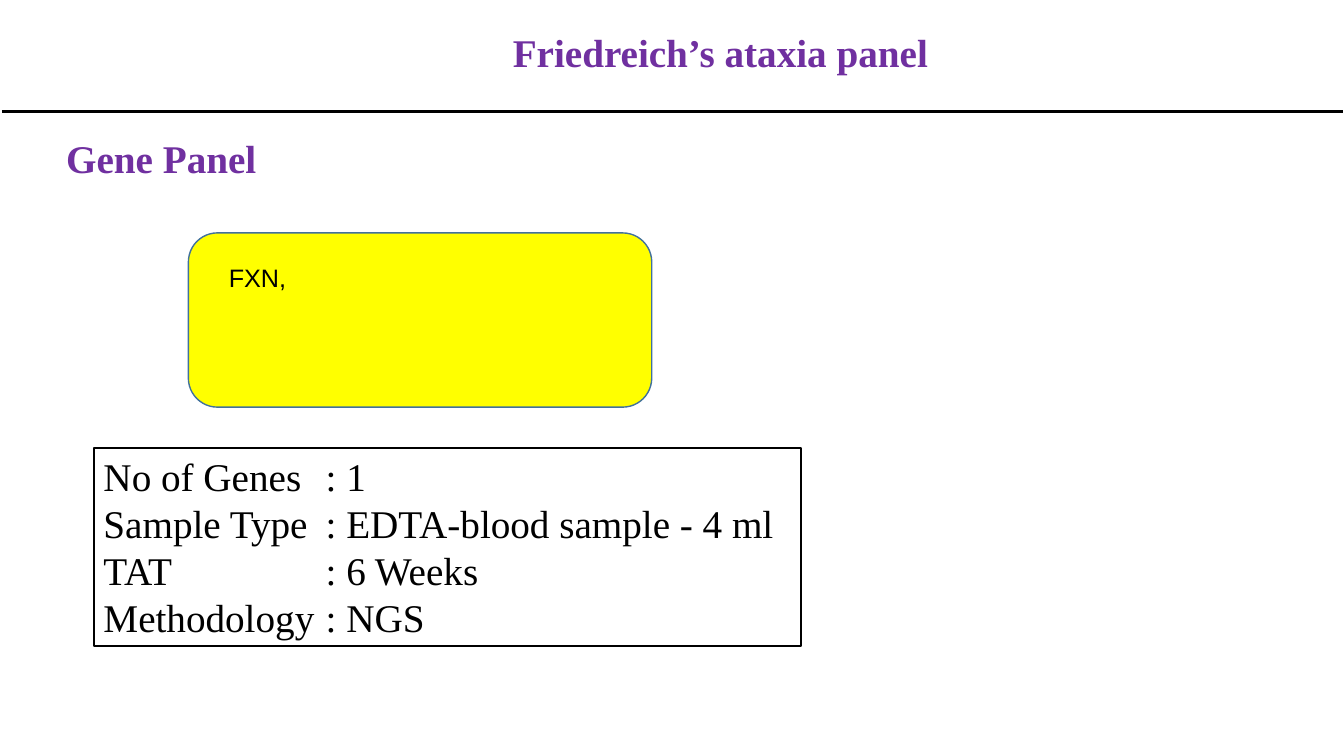
from pptx import Presentation
from pptx.dml.color import RGBColor
from pptx.enum.shapes import MSO_CONNECTOR, MSO_SHAPE
from pptx.enum.text import MSO_ANCHOR, PP_ALIGN
from pptx.oxml.ns import qn
from pptx.util import Cm, Pt
from lxml import etree

ROUND = MSO_SHAPE.ROUNDED_RECTANGLE
LINE = MSO_CONNECTOR.STRAIGHT
LEFT, CENTER = PP_ALIGN.LEFT, PP_ALIGN.CENTER
MIDDLE = MSO_ANCHOR.MIDDLE

SERIF, SANS = "Times New Roman", "Arial"
PURPLE, BLACK, YELLOW, BLUE = "7030A0", "000000", "FFFF00", "41719C"

TITLE = "Friedreich’s ataxia panel"
HEAD = "Gene Panel"
GENES = "FXN,"
FACTS = [
    ("No of Genes", "1"),
    ("Sample Type", "EDTA-blood sample - 4 ml"),
    ("TAT", "6 Weeks"),
    ("Methodology", "NGS"),
]
COLON = 5.6


def color(text):
    return RGBColor.from_string(text)


def write(shape, lines, size, face, hue, bold=False, align=LEFT):
    frame = shape.text_frame
    frame.word_wrap = True
    frame.text = "\n".join(lines)
    for para in frame.paragraphs:
        para.alignment = align
        font = para.font
        font.size, font.name, font.bold = Pt(size), face, bold
        font.color.rgb = color(hue)
    return frame


def outline(shape, hue, width):
    shape.line.color.rgb = color(hue)
    shape.line.width = Pt(width)


def textbox(slide, left, top, width, height):
    return slide.shapes.add_textbox(Cm(left), Cm(top), Cm(width), Cm(height))


def main():
    deck = Presentation()
    deck.slide_width, deck.slide_height = Cm(33.88), Cm(19.05)
    slide = deck.slides.add_slide(deck.slide_layouts[5])

    title = slide.shapes.title
    title.left, title.top = Cm(3.56), Cm(0)
    title.width, title.height = Cm(29.2), Cm(2.77)
    frame = write(title, [TITLE], 28, SERIF, PURPLE, True, CENTER)
    frame.vertical_anchor = MIDDLE
    frame.paragraphs[0].line_spacing = 0.9

    rule = slide.shapes.add_connector(LINE, Cm(0.05), Cm(2.82), Cm(33.86), Cm(2.82))
    outline(rule, BLACK, 2.25)
    etree.SubElement(rule.element.spPr, qn("a:effectLst"))

    card = slide.shapes.add_shape(ROUND, Cm(4.75), Cm(5.87), Cm(11.68), Cm(4.39))
    card.shadow.inherit = False
    card.fill.solid()
    card.fill.fore_color.rgb = color(YELLOW)
    outline(card, BLUE, 1)

    write(textbox(slide, 5.52, 6.48, 3.7, 1.02), [GENES], 18, SANS, BLACK)

    facts = textbox(slide, 2.36, 11.28, 17.83, 5)
    outline(facts, BLACK, 1.5)
    frame = write(facts, [f"{key}\t: {val}" for key, val in FACTS], 28, SERIF, BLACK)
    for para in frame.paragraphs:
        tabs = etree.SubElement(para._p.get_or_add_pPr(), qn("a:tabLst"))
        etree.SubElement(tabs, qn("a:tab"), pos=str(Cm(COLON)), algn="l")
        para._p.pPr.insert(0, tabs)

    write(textbox(slide, 1.42, 3.25, 9.63, 1.45), [HEAD], 28, SERIF, PURPLE, True)

    deck.save("out.pptx")


if __name__ == "__main__":
    main()
